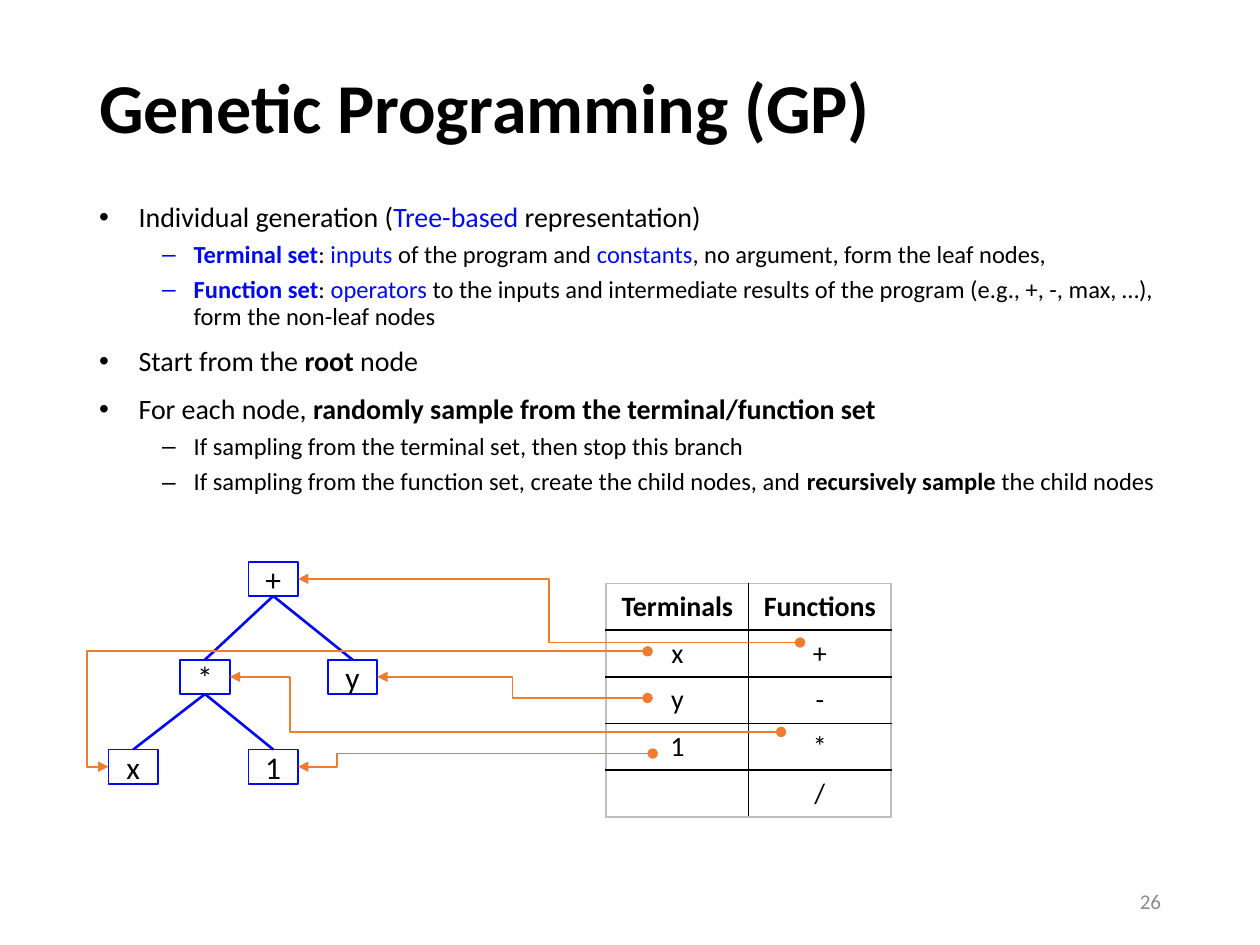
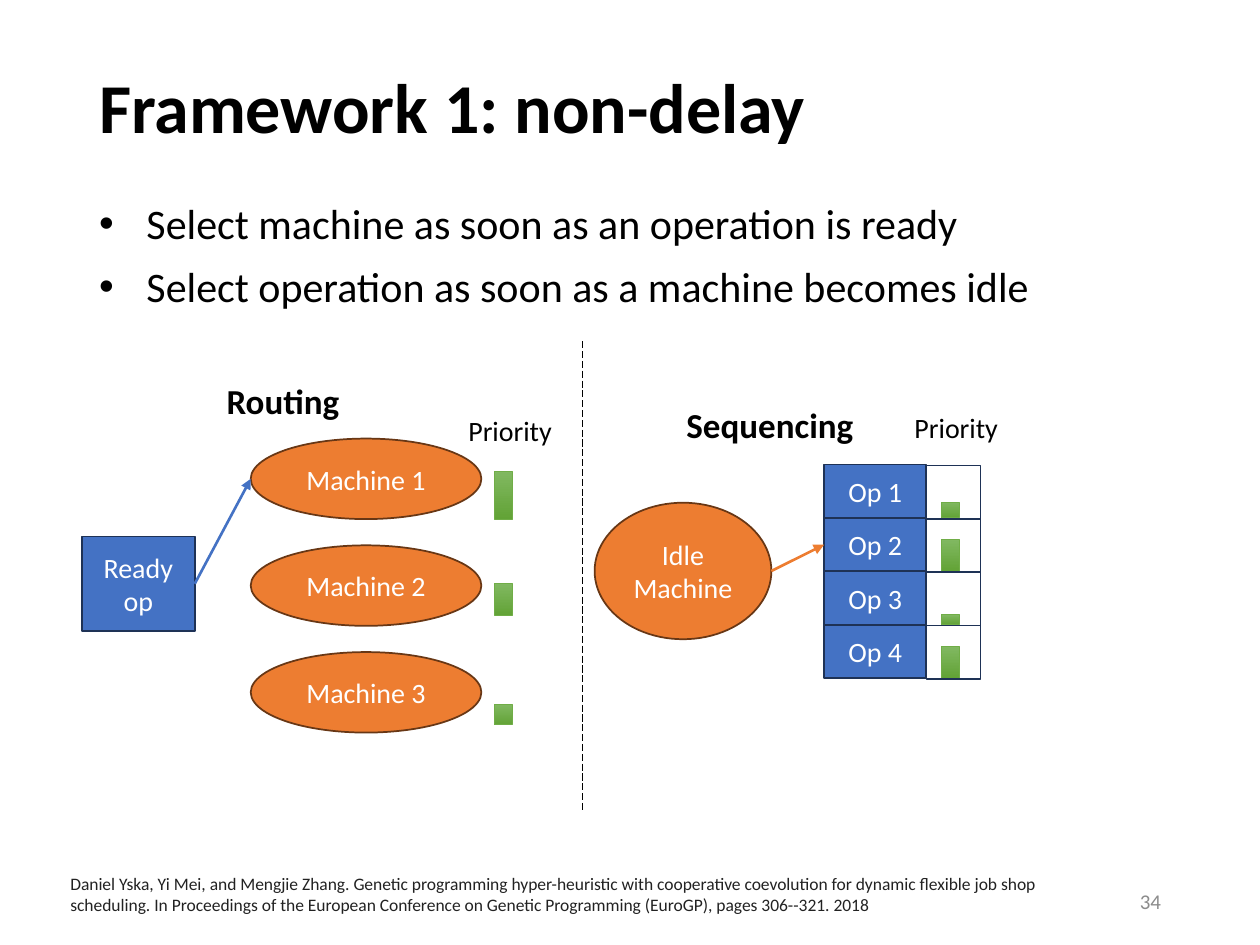
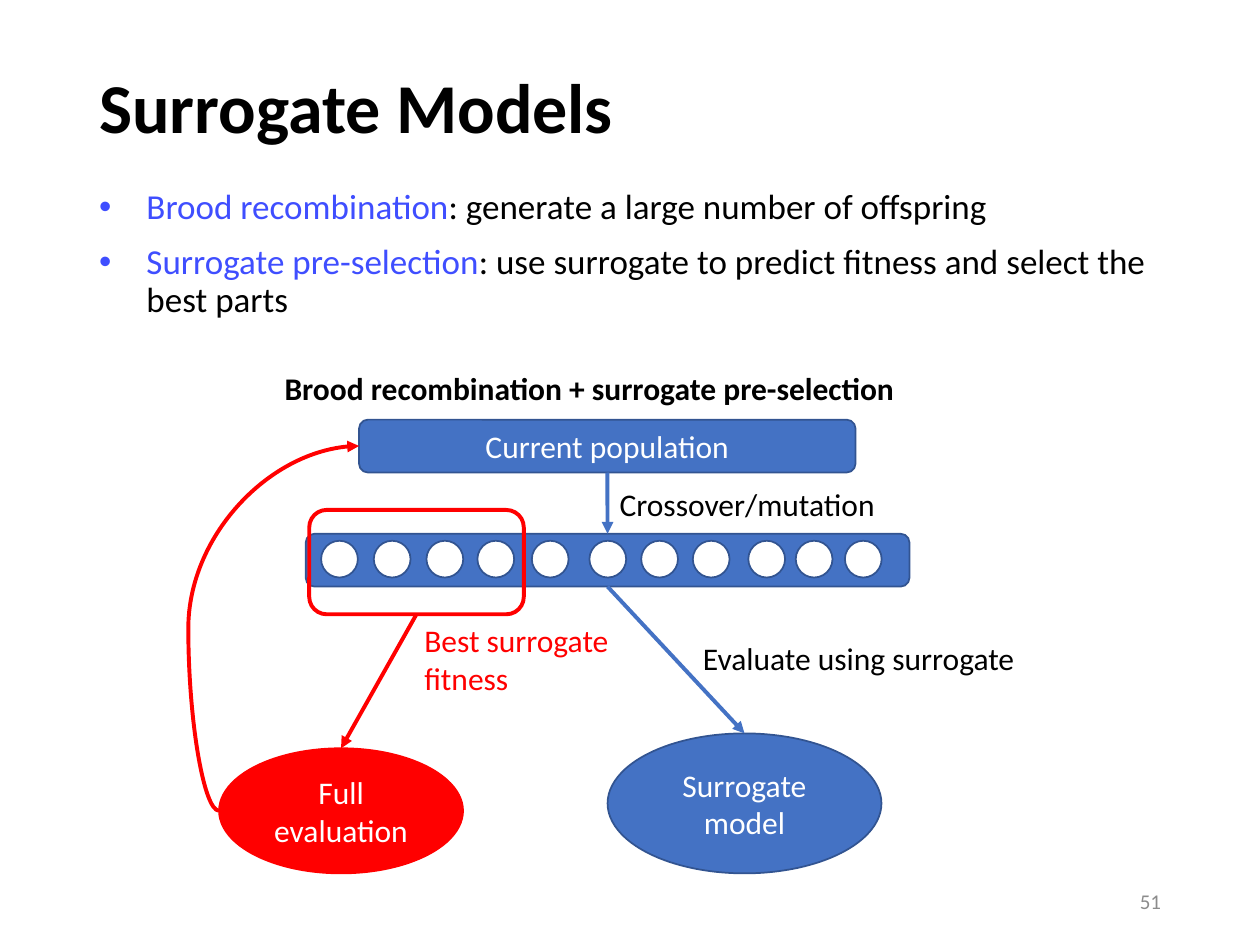
from collections import namedtuple
from dataclasses import dataclass

from lxml import etree
from pptx import Presentation
from pptx import util as u
from pptx.dml import color as dml
from pptx.enum import dml as lines
from pptx.enum import shapes, text
from pptx.oxml import ns

RECT = shapes.MSO_SHAPE.RECTANGLE
ROUNDED = shapes.MSO_SHAPE.ROUNDED_RECTANGLE
OVAL = shapes.MSO_SHAPE.OVAL
STRAIGHT = shapes.MSO_CONNECTOR.STRAIGHT
ELBOW = shapes.MSO_CONNECTOR.ELBOW
CURVE = shapes.MSO_CONNECTOR.CURVE
TOP, LEFT, BOTTOM, RIGHT = range(4)
CENTER = text.PP_ALIGN.CENTER
MIDDLE = text.MSO_ANCHOR.MIDDLE


@dataclass(frozen=True)
class Theme:
    font: str = "Calibri"
    black: str = "000000"
    white: str = "FFFFFF"
    term: str = "000AEC"
    key: str = "3F4EFF"
    blue: str = "4472C4"
    blue_edge: str = "1E3256"
    pool_edge: str = "325491"
    orange: str = "ED7D31"
    orange_edge: str = "683715"
    red: str = "FF0000"
    bar_top: str = "81B861"
    bar_bottom: str = "62A336"
    bar_edge: str = "70AD47"
    grid: str = "BFBFBF"
    number: str = "8C8C8C"
    citation: str = "222222"
    title_size: int = 40
    heading_size: int = 20
    diagram_size: int = 18
    label_size: int = 16
    number_size: int = 12
    citation_size: int = 10


T = Theme()
Side = namedtuple("Side", "shape site")
Level = namedtuple("Level", "size indent hanging before")


def rgb(value):
    return dml.RGBColor.from_string(value)


def style(font, size, colour=T.black, bold=False):
    font.name, font.size, font.bold = T.font, u.Pt(size), bold
    font.color.rgb = rgb(colour)


def place(shape, left, top, width, height):
    shape.left, shape.top = u.Pt(left), u.Pt(top)
    shape.width, shape.height = u.Pt(width), u.Pt(height)


def add_xml(parent, tag, **attributes):
    return etree.SubElement(parent, ns.qn(tag), attributes)


def label(frame, words, size, colour=T.black, bold=False, align=None):
    frame.text = words
    paragraph = frame.paragraphs[0]
    paragraph.alignment = align
    style(paragraph.runs[0].font, size, colour, bold)


def side_point(side):
    """Middle of one side of a shape, in EMU."""
    across, down = ((1, 0), (0, 1), (1, 2), (2, 1))[side.site]
    shape = side.shape
    return (shape.left + shape.width * across // 2,
            shape.top + shape.height * down // 2)


class Region:
    """Part of a slide whose contents are placed from its top left corner."""

    def __init__(self, slide, left, top):
        self.shapes, self.left, self.top = slide.shapes, left, top

    def box(self, x, y, width, height):
        return [u.Pt(v) for v in (self.left + x, self.top + y, width, height)]

    def shape(self, kind, x, y, width, height, fill=None, edge=T.black,
              weight=1, words="", size=T.label_size, colour=T.white):
        shape = self.shapes.add_shape(kind, *self.box(x, y, width, height))
        shape.shadow.inherit = False
        if fill:
            shape.fill.solid()
            shape.fill.fore_color.rgb = rgb(fill)
        else:
            shape.fill.background()
        shape.line.color.rgb = rgb(edge)
        shape.line.width = u.Pt(weight)
        if words:
            shape.text_frame.vertical_anchor = MIDDLE
            label(shape.text_frame, words, size, colour, align=CENTER)
        return shape

    def bar(self, x, bottom, height):
        bar = self.shape(RECT, x, bottom - height, 10.4, height,
                         T.bar_top, T.bar_edge, 0.5)
        bar.fill.gradient()
        bar.fill.gradient_angle = 270
        for stop, colour in zip(bar.fill.gradient_stops, (T.bar_top, T.bar_bottom)):
            stop.color.rgb = rgb(colour)

    def text(self, x, y, width, height, words, size, colour=T.black,
             bold=False, wrap=False, align=None):
        frame = self.shapes.add_textbox(*self.box(x, y, width, height)).text_frame
        frame.word_wrap = wrap
        label(frame, words, size, colour, bold, align)
        return frame

    def line(self, start, end, colour, weight, kind=STRAIGHT, head=None,
             tail="triangle", bend=None, dash=None):
        """Join two ends, each a Side or a point within the region."""
        points = [side_point(end_) if isinstance(end_, Side)
                  else self.box(*end_, 0, 0)[:2] for end_ in (start, end)]
        link = self.shapes.add_connector(kind, *points[0], *points[1])
        for join, stop in ((link.begin_connect, start), (link.end_connect, end)):
            if (kind == STRAIGHT and isinstance(stop, Side)
                    and stop.shape.auto_shape_type != OVAL):
                join(*stop)
        link.line.color.rgb = rgb(colour)
        link.line.width = u.Pt(weight)
        if dash:
            link.line.dash_style = dash
        properties = link._element.spPr
        outline = properties.find(ns.qn("a:ln"))
        for tag, mark in (("a:headEnd", head), ("a:tailEnd", tail)):
            if mark:
                add_xml(outline, tag, type=mark)
        if bend is not None:
            guides = properties.find(ns.qn("a:prstGeom")).find(ns.qn("a:avLst"))
            add_xml(guides, "a:gd", name="adj1", fmla=f"val {round(bend * 100000)}")
        add_xml(properties, "a:effectLst")


def titled_slide(deck, title, number, levels, points, body_top=112.5):
    """Start a slide; points are (level, run, ...), a run being text or
    (text, colour, bold)."""
    slide = deck.slides.add_slide(deck.slide_layouts[1])
    heading, body = slide.placeholders
    place(heading, 49.5, 28.75, 621, 69.6)
    heading.text_frame.vertical_anchor = MIDDLE
    label(heading.text_frame, title, T.title_size, bold=True,
          align=text.PP_ALIGN.LEFT)
    heading.text_frame.paragraphs[0].line_spacing = 0.9

    place(body, 49.5, body_top, 621, 373.5)
    frame = body.text_frame
    frame.auto_size = text.MSO_AUTO_SIZE.NONE
    for index, (depth, *runs) in enumerate(points):
        paragraph = frame.add_paragraph() if index else frame.paragraphs[0]
        level = levels[depth]
        paragraph.level = depth
        paragraph.line_spacing = 0.9
        paragraph.space_before = u.Pt(level.before if index else 0)
        properties = paragraph._p.get_or_add_pPr()
        properties.set("marL", str(u.Pt(level.indent)))
        properties.set("indent", str(-u.Pt(level.hanging)))
        for part in runs:
            words, *look = (part,) if isinstance(part, str) else part
            run = paragraph.add_run()
            run.text = words
            style(run.font, level.size, *look)

    page = Region(slide, 508.5, 500.5).text(
        0, 0, 162, 28.75, number, T.number_size, T.number,
        wrap=True, align=text.PP_ALIGN.RIGHT)
    page.vertical_anchor = MIDDLE
    return slide


def border(cell, tag, colour):
    edge = add_xml(cell._tc.get_or_add_tcPr(), tag, w=str(u.Pt(1)))
    add_xml(add_xml(edge, "a:solidFill"), "a:srgbClr", val=colour)


def primitive_table(region, x, y):
    rows = [("Terminals", "Functions"), ("x", "+"), ("y", "-"), ("1", "*"), ("", "/")]
    width, height = 81.4, 26.7
    table = region.shapes.add_table(
        len(rows), 2, *region.box(x, y, 2 * width, len(rows) * height)).table
    table.first_row = table.horz_banding = False
    for r, row in enumerate(rows):
        table.rows[r].height = u.Pt(height)
        for c, words in enumerate(row):
            cell = table.cell(r, c)
            if words:
                label(cell.text_frame, words, T.label_size, bold=r == 0, align=CENTER)
            else:
                end = cell.text_frame.paragraphs[0]._p.get_or_add_endParaRPr()
                end.set("sz", str(T.label_size * 100))
            outer = {"a:lnL": c == 0, "a:lnR": c == 1,
                     "a:lnT": r == 0, "a:lnB": r == len(rows) - 1}
            for tag, is_outer in outer.items():
                border(cell, tag, T.grid if is_outer else T.black)
            cell.fill.background()


def sampled_tree(region):
    """Expression tree, with each node linked to its entry in the table."""
    primitive_table(region, 284.4, 12.4)
    spots = {"+": (80, 0), "*": (41, 56), "y": (125.3, 56),
             "x": (0, 107.3), "1": (80, 107.3)}
    nodes = {name: region.shape(RECT, *spot, 28.3, 19.6, T.white, T.term,
                                words=name, size=T.diagram_size, colour=T.black)
             for name, spot in spots.items()}
    for parent, child in ("+*", "+y", "*x", "*1"):
        region.line(Side(nodes[parent], BOTTOM), Side(nodes[child], TOP),
                    T.term, 1.5, tail=None)
    samples = [("+", RIGHT, (395.2, 46.2), 0.5), ("*", RIGHT, (384.4, 97.3), 0.89),
               ("x", LEFT, (308.1, 51.2), 1.04), ("1", RIGHT, (311, 109.6), 0.89),
               ("y", RIGHT, (308.1, 77.9), 0.5)]
    for name, site, entry, bend in samples:
        region.line(entry, Side(nodes[name], site), T.orange, 1, ELBOW,
                    head="oval", bend=bend)


def routing(region):
    region.text(75.6, 0, 80, 31.5, "Routing", T.heading_size, bold=True)
    region.text(213.8, 19.5, 62.6, 26.6, "Priority", T.label_size)
    ready = region.shape(RECT, 0, 93.5, 64.5, 54, T.blue, T.blue_edge,
                         words="Ready op")
    machines = []
    for i, (bottom, height) in enumerate([(83.5, 27.4), (138.5, 18), (201, 11.5)]):
        machines.append(region.shape(
            OVAL, 96.5, 37.5 + 61 * i, 131.8, 46, T.orange, T.orange_edge,
            words=f"Machine {i + 1}"))
        region.bar(235.5, bottom, height)
    region.line(Side(ready, RIGHT), Side(machines[0], LEFT), T.blue, 1.5)


def sequencing(region):
    region.text(45.4, 0, 111, 31.5, "Sequencing", T.heading_size, bold=True)
    region.text(175.7, 4.3, 62.6, 26.6, "Priority", T.label_size)
    idle = region.shape(OVAL, 0, 60.5, 101, 78, T.orange, T.orange_edge,
                        words="Idle Machine")
    step = 30.5
    operations = []
    for i, priority in enumerate((9, 18, 5.8, 18)):
        top = 38.7 + step * i
        operations.append(region.shape(RECT, 131.1, top, 58.5, step, T.blue,
                                       T.blue_edge, words=f"Op {i + 1}"))
        region.bar(198, top + step, priority)
        region.shape(RECT, 189.6, top + 0.5, 30.9, step, edge=T.blue_edge)
    region.line(Side(idle, RIGHT), Side(operations[1], LEFT), T.orange, 1.5)


def pre_selection(region):
    size = T.diagram_size
    region.text(30.3, 0, 384, 29, "Brood recombination + surrogate pre-selection",
                size, bold=True, wrap=True)
    population = region.shape(ROUNDED, 80, 32.4, 283.7, 30.2, T.blue, T.pool_edge,
                              words="Current population", size=size)
    pool_x, pool_y = 49.5, 97.6
    pool = region.shape(ROUNDED, pool_x, pool_y, 345, 30.2, T.blue, T.pool_edge)
    for x in (8.8, 38.9, 69, 98.1, 129.2, 162.1, 191.7, 221.2, 252.9, 280, 308.1):
        region.shape(OVAL, pool_x + x, pool_y + 4, 21, 21, T.white, T.pool_edge)
    best = region.shape(ROUNDED, 51.5, 84, 122.6, 59.6, edge=T.red, weight=2.25)
    surrogate = region.shape(OVAL, 222, 211.7, 156.5, 80, T.blue, T.pool_edge,
                             words="Surrogate model", size=size)
    full = region.shape(OVAL, 0, 220.2, 139.4, 71.5, T.red, T.red,
                        words="Full evaluation", size=size)
    for start, end, colour in [(population, pool, T.blue), (pool, surrogate, T.blue),
                               (best, full, T.red)]:
        region.line(Side(start, BOTTOM), Side(end, TOP), colour, 2.25)
    region.line(Side(full, LEFT), Side(population, LEFT), T.red, 2.25, CURVE,
                bend=-0.22)
    region.text(221.8, 66, 162, 29, "Crossover/mutation", size)
    region.text(269.4, 154.2, 194.4, 29, "Evaluate using surrogate", size)
    region.text(110.2, 144, 122.4, 51, "Best surrogate fitness", size, T.red, wrap=True)


def genetic_programming(deck):
    levels = [Level(16, 22.5, 22.5, 10), Level(14, 54, 18, 5)]
    slide = titled_slide(deck, "Genetic Programming (GP)", "26", levels, [
        (0, "Individual generation (", ("Tree-based", T.term), " representation)"),
        (1, ("Terminal set", T.term, True), ": ", ("inputs", T.term),
         " of the program and ", ("constants", T.term),
         ", no argument, form the leaf nodes,"),
        (1, ("Function set", T.term, True), ": ", ("operators", T.term),
         " to the inputs and intermediate results of the program "
         "(e.g., +, -, max, …), form the non-leaf nodes"),
        (0, "Start from the ", ("root", T.black, True), " node"),
        (0, "For each node, ",
         ("randomly sample from the terminal/function set", T.black, True)),
        (1, "If sampling from the terminal set, then stop this branch"),
        (1, "If sampling from the function set, create the child nodes, and ",
         ("recursively sample ", T.black, True), "the child nodes"),
    ])
    sampled_tree(Region(slide, 62, 321))


def non_delay(deck):
    slide = titled_slide(
        deck, "Framework 1: non-delay", "34", [Level(24, 27, 27, 10)],
        [(0, "Select machine as soon as an operation is ready"),
         (0, "Select operation as soon as a machine becomes idle")])
    routing(Region(slide, 46.8, 213.1))
    sequencing(Region(slide, 339.8, 226.8))
    Region(slide, 332.6, 195).line((0, 0), (0, 268.7), T.black, 0.5, tail=None,
                                   dash=lines.MSO_LINE.LONG_DASH)
    Region(slide, 33.1, 495.4).text(
        0, 0, 600.5, 31.7,
        "Daniel Yska, Yi Mei, and Mengjie Zhang. Genetic programming hyper-heuristic "
        "with cooperative coevolution for dynamic flexible job shop scheduling. "
        "In Proceedings of the European Conference on Genetic Programming (EuroGP), "
        "pages 306--321. 2018", T.citation_size, T.citation, wrap=True)


def surrogate_models(deck):
    slide = titled_slide(
        deck, "Surrogate Models", "51", [Level(20, 27, 27, 10)],
        [(0, ("Brood recombination", T.key),
          ": generate a large number of offspring"),
         (0, ("Surrogate pre-selection", T.key),
          ": use surrogate to predict fitness and select the best parts")],
        body_top=104.5)
    pre_selection(Region(slide, 125.2, 207.4))


def main():
    deck = Presentation()
    deck.slide_width, deck.slide_height = u.Pt(720), u.Pt(540)
    genetic_programming(deck)
    non_delay(deck)
    surrogate_models(deck)
    deck.save("out.pptx")


if __name__ == "__main__":
    main()
